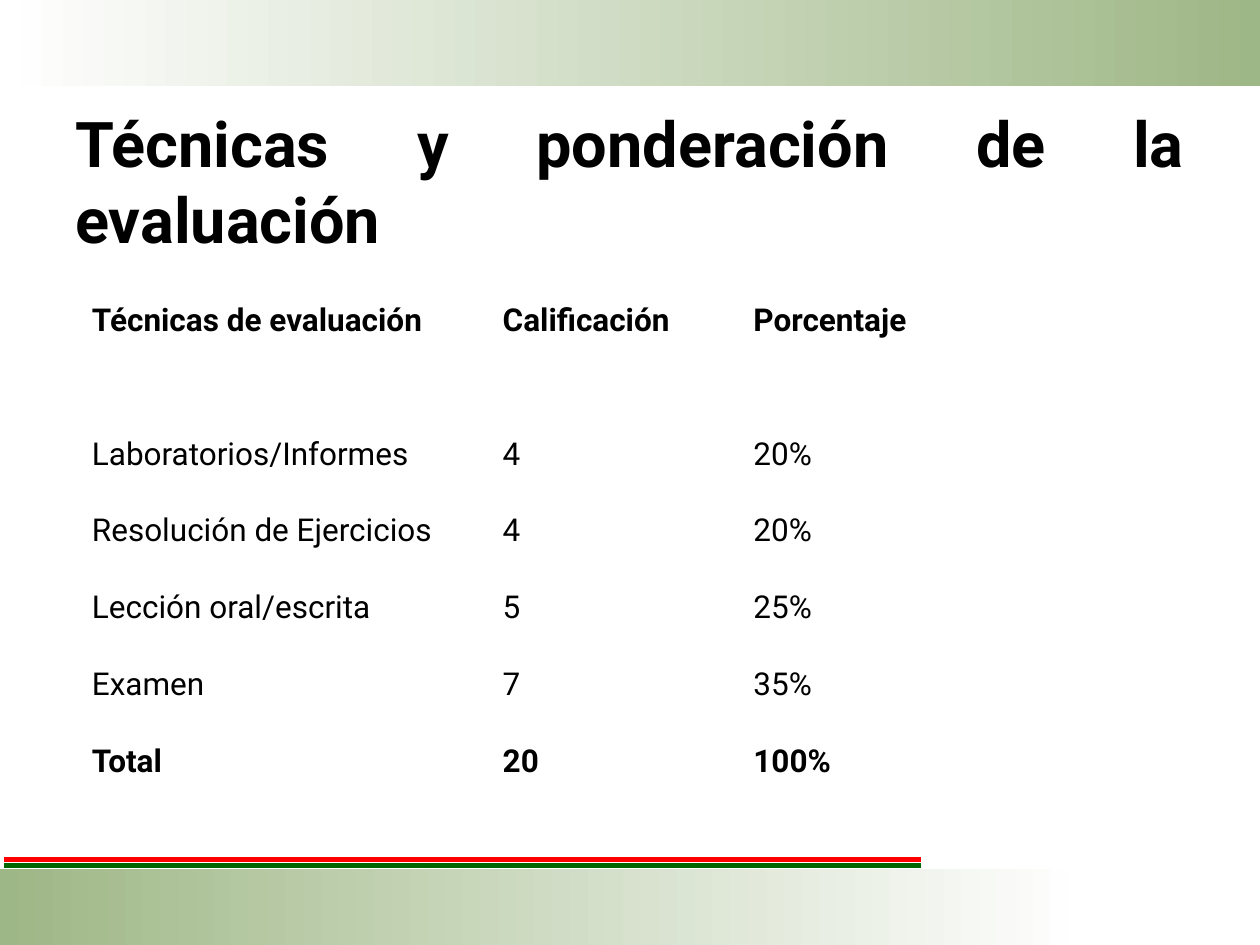
import pptx
import pptx.dml.color
import pptx.enum.shapes
import pptx.enum.text
import pptx.oxml
import pptx.oxml.ns
import pptx.util
from lxml import etree

Inches = pptx.util.Inches
WIDTH, HEIGHT = 10, 7.5
FONT = "Roboto"

# Content
TITLE = "Técnicas y ponderación de la evaluación"
ROWS = [
    ("Técnicas de evaluación", "Calificación", "Porcentaje"),
    ("Laboratorios/Informes", "4", "20%"),
    ("Resolución de Ejercicios", "4", "20%"),
    ("Lección oral/escrita", "5", "25%"),
    ("Examen", "7", "35%"),
    ("Total", "20", "100%"),
]
BOLD_ROWS = (0, len(ROWS) - 1)

# Layout: left, top, width, height, gradient angle
BANDS = [(0, 0, WIDTH, 0.68, 0), (0, HEIGHT - 0.6, 8.62, 0.6, 180)]
RULES = [(6.82, "FF0000"), (6.87, "006600")]
RULE_LEFT, RULE_RIGHT = 0.03, 7.31
COLUMNS = [3.26, 1.99, 2.63]
ROW_HEIGHTS = [1.06] + [0.61] * (len(ROWS) - 1)
TABLE_LEFT, TABLE_TOP = 0.63, 2.35


def color(value):
    return pptx.dml.color.RGBColor.from_string(value)


def write(frame, text, size, bold, alignment=None):
    paragraph = frame.paragraphs[0]
    paragraph.alignment = alignment
    run = paragraph.add_run()
    run.text = text
    formats = {"name": FONT, "size": pptx.util.Pt(size), "bold": bold}
    for name, value in formats.items():
        setattr(run.font, name, value)
    run.font.color.rgb = color("000000")


def add_band(slide, left, top, width, height, angle):
    band = slide.shapes.add_shape(
        pptx.enum.shapes.MSO_SHAPE.RECTANGLE,
        *map(Inches, (left, top, width, height)))
    band.shadow.inherit = False
    band.line.fill.background()
    band.fill.gradient()
    band.fill.gradient_angle = angle
    for stop, position, value in zip(
            band.fill.gradient_stops, (0, 1), ("FFFFFF", "9EB786")):
        stop.position = position
        stop.color.rgb = color(value)


def add_rule(slide, top, value):
    rule = slide.shapes.add_connector(
        pptx.enum.shapes.MSO_CONNECTOR.STRAIGHT,
        *map(Inches, (RULE_LEFT, top, RULE_RIGHT, top)))
    rule.line.color.rgb = color(value)
    rule.line.width = pptx.util.Pt(3)
    etree.SubElement(rule._element.spPr, pptx.oxml.ns.qn("a:effectLst"))


def add_borders(cell, value, points):
    properties = cell._tc.get_or_add_tcPr()
    for index, side in enumerate(("lnL", "lnR", "lnT", "lnB")):
        border = pptx.oxml.parse_xml(
            f'<a:{side} {pptx.oxml.ns.nsdecls("a")} w="{pptx.util.Pt(points)}">'
            f'<a:solidFill><a:srgbClr val="{value}"/></a:solidFill></a:{side}>')
        properties.insert(index, border)


def add_title(slide):
    box = slide.shapes.add_textbox(*map(Inches, (0.5, 0.78, 9, 1.3)))
    formats = {
        "word_wrap": True,
        "auto_size": pptx.enum.text.MSO_AUTO_SIZE.SHAPE_TO_FIT_TEXT,
        "vertical_anchor": pptx.enum.text.MSO_ANCHOR.MIDDLE,
    }
    for name, value in formats.items():
        setattr(box.text_frame, name, value)
    write(box.text_frame, TITLE, 36, True, pptx.enum.text.PP_ALIGN.JUSTIFY)


def add_grades(slide):
    table = slide.shapes.add_table(
        len(ROWS), len(COLUMNS),
        *map(Inches, (TABLE_LEFT, TABLE_TOP, sum(COLUMNS), sum(ROW_HEIGHTS)))).table
    for column, width in zip(table.columns, COLUMNS):
        column.width = Inches(width)
    for row, height in zip(table.rows, ROW_HEIGHTS):
        row.height = Inches(height)
    for row_index, texts in enumerate(ROWS):
        for column_index, text in enumerate(texts):
            cell = table.cell(row_index, column_index)
            cell.fill.solid()
            cell.fill.fore_color.rgb = color("FFFFFF")
            add_borders(cell, "FFFFFF", 0.45)
            write(cell.text_frame, text, 18, row_index in BOLD_ROWS)


def main():
    presentation = pptx.Presentation()
    presentation.slide_width = Inches(WIDTH)
    presentation.slide_height = Inches(HEIGHT)
    slide = presentation.slides.add_slide(presentation.slide_layouts[6])

    # Decorative bands and rules
    for band in BANDS:
        add_band(slide, *band)
    for rule in RULES:
        add_rule(slide, *rule)

    # Title and grading table
    add_title(slide)
    add_grades(slide)
    presentation.save("out.pptx")


if __name__ == "__main__":
    main()
